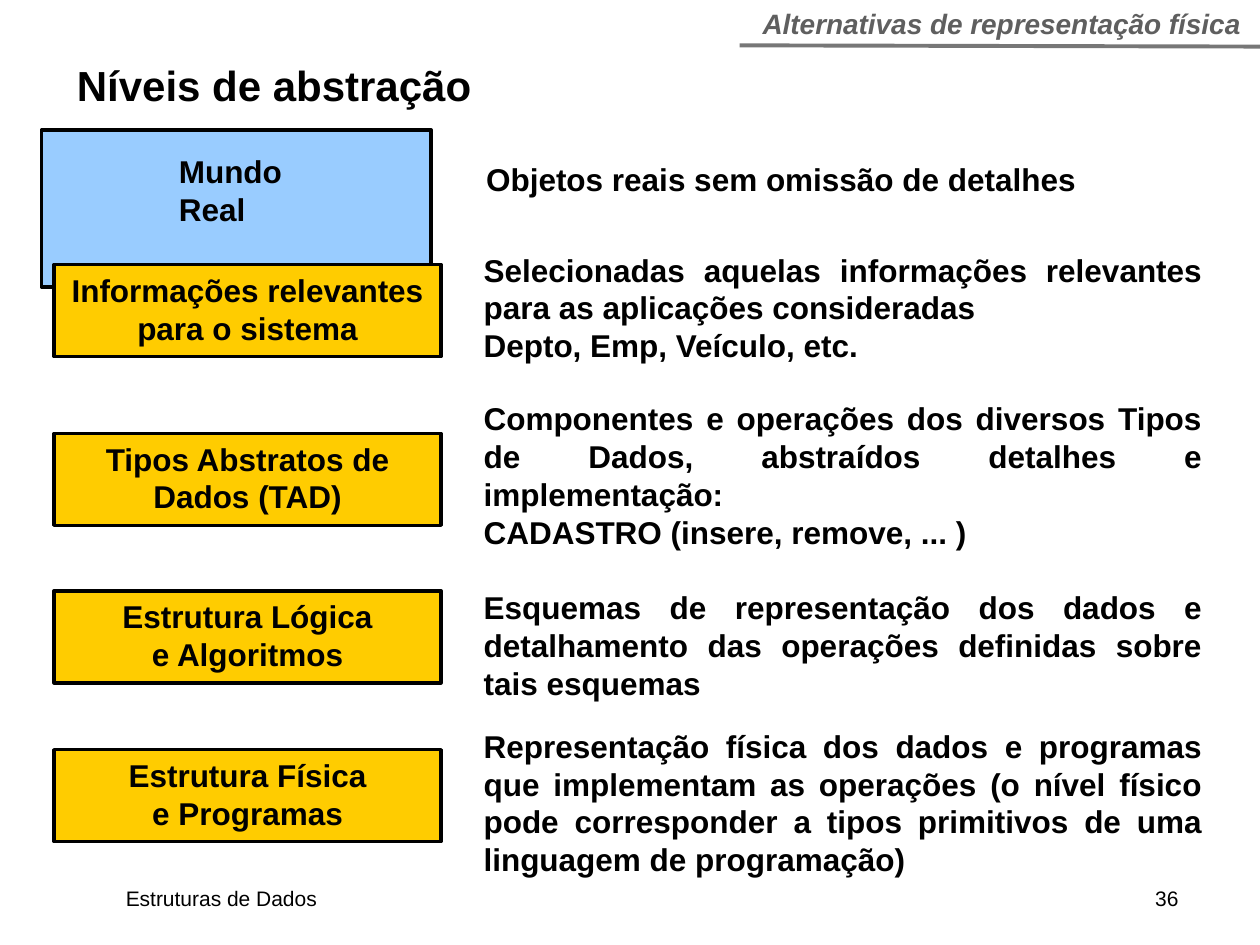
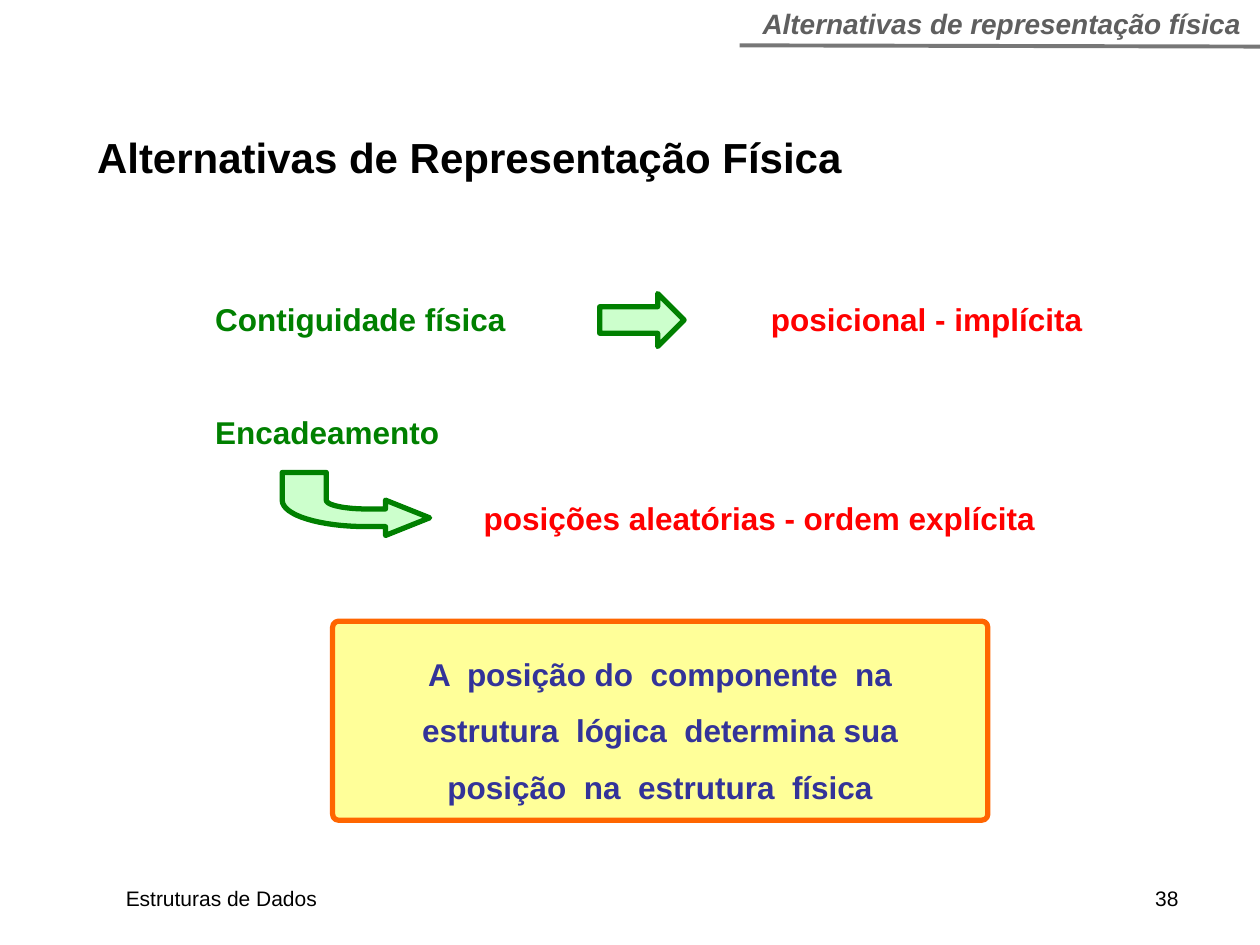
from pptx import Presentation
from pptx.dml.color import RGBColor
from pptx.enum.shapes import MSO_CONNECTOR, MSO_SHAPE
from pptx.enum.text import MSO_ANCHOR, MSO_AUTO_SIZE, PP_ALIGN
from pptx.oxml.ns import qn
from pptx.util import Inches, Pt
from lxml import etree

LEFT, CENTER, JUSTIFY = PP_ALIGN.LEFT, PP_ALIGN.CENTER, PP_ALIGN.JUSTIFY
TOP, MIDDLE = MSO_ANCHOR.TOP, MSO_ANCHOR.MIDDLE
RECTANGLE, ROUNDED = MSO_SHAPE.RECTANGLE, MSO_SHAPE.ROUNDED_RECTANGLE
RIGHT_ARROW = MSO_SHAPE.RIGHT_ARROW
STRAIGHT = MSO_CONNECTOR.STRAIGHT
FIXED_SIZE = MSO_AUTO_SIZE.NONE

FONT = "Arial"
COLUMNS, ROWS = 100, 75
TITLE_ONLY = 5
COLORS = {
    "ink": "000000", "paper": "FFFFFF", "header": "5F5F5F", "rule": "777777",
    "world": "99CCFF", "level": "FFCC00", "green": "008000", "mint": "CCFFCC",
    "red": "FF0000", "note": "FFFF99", "orange": "FF6600", "indigo": "333399",
}


def rgb(name):
    return RGBColor.from_string(COLORS[name])


class Deck:
    def __init__(self):
        self.presentation = Presentation()
        self.presentation.slide_width = Inches(10)
        self.presentation.slide_height = Inches(7.5)
        self.column = self.presentation.slide_width / COLUMNS
        self.row = self.presentation.slide_height / ROWS
        self.slide = None

    def point(self, column, row):
        return round(column * self.column), round(row * self.row)

    def area(self, left, top, width, height):
        return *self.point(left, top), *self.point(width, height)

    def start(self, title, title_area, anchor, number):
        layout = self.presentation.slide_layouts[TITLE_ONLY]
        self.slide = self.presentation.slides.add_slide(layout)
        heading = self.slide.shapes.title
        heading.left, heading.top, heading.width, heading.height = self.area(*title_area)
        self.set_text(heading, [title], size=24, anchor=anchor)
        self.footer(number)
        self.line((58.7, 3.6), (100, 3.7), "rule", 2.25)
        self.text(["Alternativas de representação física"], (59.5, 0, 40, 3.7),
                  size=16, color="header", italic=True, align=CENTER, wrap=False)

    def footer(self, number):
        footer = self.text([f"Estruturas de Dados\t{number}"], (9, 69.8, 87.4, 3),
                           size=12, bold=False)
        properties = footer.text_frame.paragraphs[0]._p.get_or_add_pPr()
        tabs = etree.Element(qn("a:tabLst"))
        etree.SubElement(tabs, qn("a:tab"), pos=str(round(81.7 * self.column)), algn="l")
        properties.insert(0, tabs)
        spacing = properties.find(qn("a:spcBef"))
        if spacing is not None:
            spacing.addnext(tabs)

    def set_text(self, holder, lines, size=18, color="ink", bold=True, italic=False,
                 align=LEFT, anchor=TOP, wrap=True, inset=1, spacing=None, gap=0):
        frame = holder.text_frame
        frame.auto_size = FIXED_SIZE
        frame.word_wrap = wrap
        frame.vertical_anchor = anchor
        frame.margin_left = frame.margin_right = round(inset * self.column)
        frame.margin_top = frame.margin_bottom = round(inset * self.row / 2)
        for index, line in enumerate(lines):
            paragraph = frame.add_paragraph() if index else frame.paragraphs[0]
            paragraph.text = line
            paragraph.alignment = align
            paragraph.space_before = Pt(gap if index else 0)
            if spacing:
                paragraph.line_spacing = spacing
            font = paragraph.font
            font.name, font.size, font.bold, font.italic = FONT, Pt(size), bold, italic
            font.color.rgb = rgb(color)

    def text(self, lines, area, **style):
        box = self.slide.shapes.add_textbox(*self.area(*area))
        self.set_text(box, lines, **style)
        return box

    def paint(self, shape, fill, outline, weight):
        shape.shadow.inherit = False
        shape.fill.solid()
        shape.fill.fore_color.rgb = rgb(fill)
        if outline:
            shape.line.color.rgb = rgb(outline)
            shape.line.width = Pt(weight)
        else:
            shape.line.fill.background()

    def shape(self, kind, area, fill, outline=None, weight=2, lines=(), corner=None, **style):
        shape = self.slide.shapes.add_shape(kind, *self.area(*area))
        self.paint(shape, fill, outline, weight)
        if corner is not None:
            shape.adjustments[0] = corner
        if lines:
            self.set_text(shape, lines, **style)

    def outline(self, points, fill, outline, weight):
        start, *rest = [self.point(*point) for point in points]
        builder = self.slide.shapes.build_freeform(*start)
        builder.add_line_segments(rest, close=True)
        self.paint(builder.convert_to_shape(), fill, outline, weight)

    def line(self, begin, end, color, weight):
        connector = self.slide.shapes.add_connector(
            STRAIGHT, *self.point(*begin), *self.point(*end))
        connector.line.color.rgb = rgb(color)
        connector.line.width = Pt(weight)
        etree.SubElement(connector._element.spPr, qn("a:effectLst"))


def curve(start, control_a, control_b, end, steps=16):
    for step in range(steps + 1):
        t = step / steps
        weights = (1 - t) ** 3, 3 * t * (1 - t) ** 2, 3 * t * t * (1 - t), t ** 3
        yield tuple(sum(weight * value for weight, value in zip(weights, axis))
                    for axis in zip(start, control_a, control_b, end))


def abstraction_levels(deck):
    deck.start("Níveis de abstração", (5.1, 3.6, 35.3, 6.2), MIDDLE, 36)
    deck.shape(RECTANGLE, (3.3, 10.3, 30.9, 12.5), "world", "ink")
    deck.text(["Mundo", "Real"], (13, 11.5, 10.6, 7.2), align=JUSTIFY, inset=1.2, wrap=False)
    deck.text(["Objetos reais sem omissão de detalhes"], (37.6, 12.2, 49.4, 7), align=JUSTIFY)
    levels = [
        (21, "Informações relevantes\npara o sistema", 19.4, 10,
         ["Selecionadas aquelas informações relevantes para as aplicações consideradas",
          "Depto, Emp, Veículo, etc."]),
        (34.4, "Tipos Abstratos de Dados (TAD)", 31.2, 13,
         ["Componentes e operações dos diversos Tipos de Dados, abstraídos detalhes e "
          "implementação:", "CADASTRO (insere, remove, ... )"]),
        (46.9, "Estrutura Lógica\ne Algoritmos", 46.2, 10,
         ["Esquemas de representação dos dados e detalhamento das operações definidas "
          "sobre tais esquemas"]),
        (59.5, "Estrutura Física\ne Programas", 57.2, 13,
         ["Representação física dos dados e programas que implementam as operações "
          "(o nível físico pode corresponder a tipos primitivos de uma linguagem de "
          "programação)"]),
    ]
    for level_top, level, detail_top, detail_height, detail in levels:
        deck.shape(RECTANGLE, (4.3, level_top, 30.7, 7.3), "level", "ink",
                   lines=[level], align=CENTER)
        deck.text(detail, (37.4, detail_top, 59, detail_height), align=JUSTIFY)


def physical_alternatives(deck):
    deck.start("Alternativas de Representação Física", (6.7, 9.9, 62.3, 6.5), TOP, 38)
    deck.shape(RECTANGLE, (16.1, 23.3, 25, 13), "paper",
               lines=["Contiguidade física", "Encadeamento"],
               color="green", wrap=False, gap=43)
    deck.shape(ROUNDED, (26.4, 49.3, 52, 15.8), "note", "orange", 3, corner=0.03,
               lines=["A  posição do  componente  na", "estrutura  lógica  determina sua",
                      "posição  na  estrutura  física"],
               color="indigo", align=CENTER, anchor=MIDDLE, spacing=1.5)
    deck.text(["posições aleatórias - ordem explícita"], (37.4, 39.1, 48.5, 4), color="red")
    outer_bend = curve((29.1, 41.8), (25.4, 41.8), (22.4, 40.9), (22.4, 39.7))
    inner_bend = curve((25.9, 39.7), (25.9, 40.1), (27.4, 40.4), (29.1, 40.4))
    deck.outline([(34.1, 41.1), (30.6, 42.5), (30.6, 41.8), *outer_bend,
                  (22.4, 37.5), (25.9, 37.5), *inner_bend, (30.6, 40.4), (30.6, 39.7)],
                 "mint", "green", 3)
    deck.text(["posicional - implícita"], (60.2, 23.3, 28.4, 4), color="red")
    deck.shape(RIGHT_ARROW, (47.6, 23.3, 6.7, 4.2), "mint", "green", 3)


def main():
    deck = Deck()
    abstraction_levels(deck)
    physical_alternatives(deck)
    deck.presentation.save("out.pptx")


if __name__ == "__main__":
    main()
